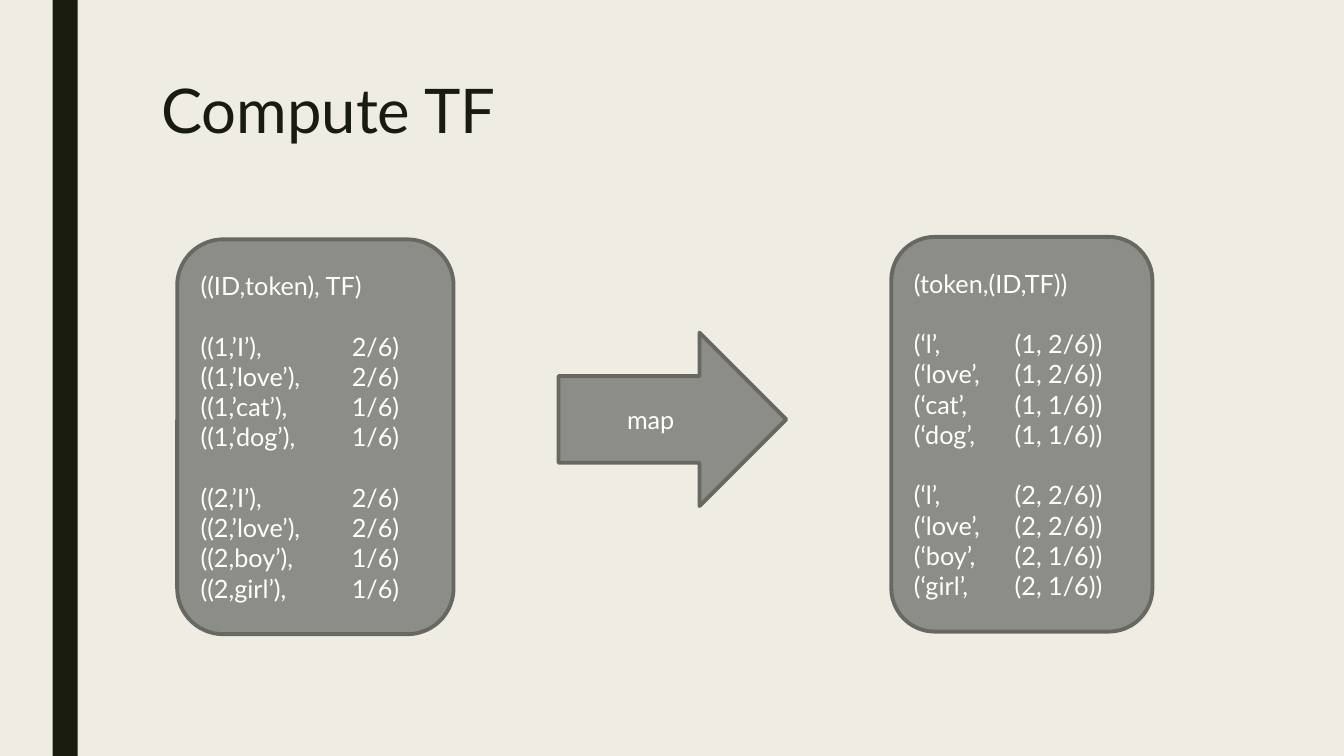
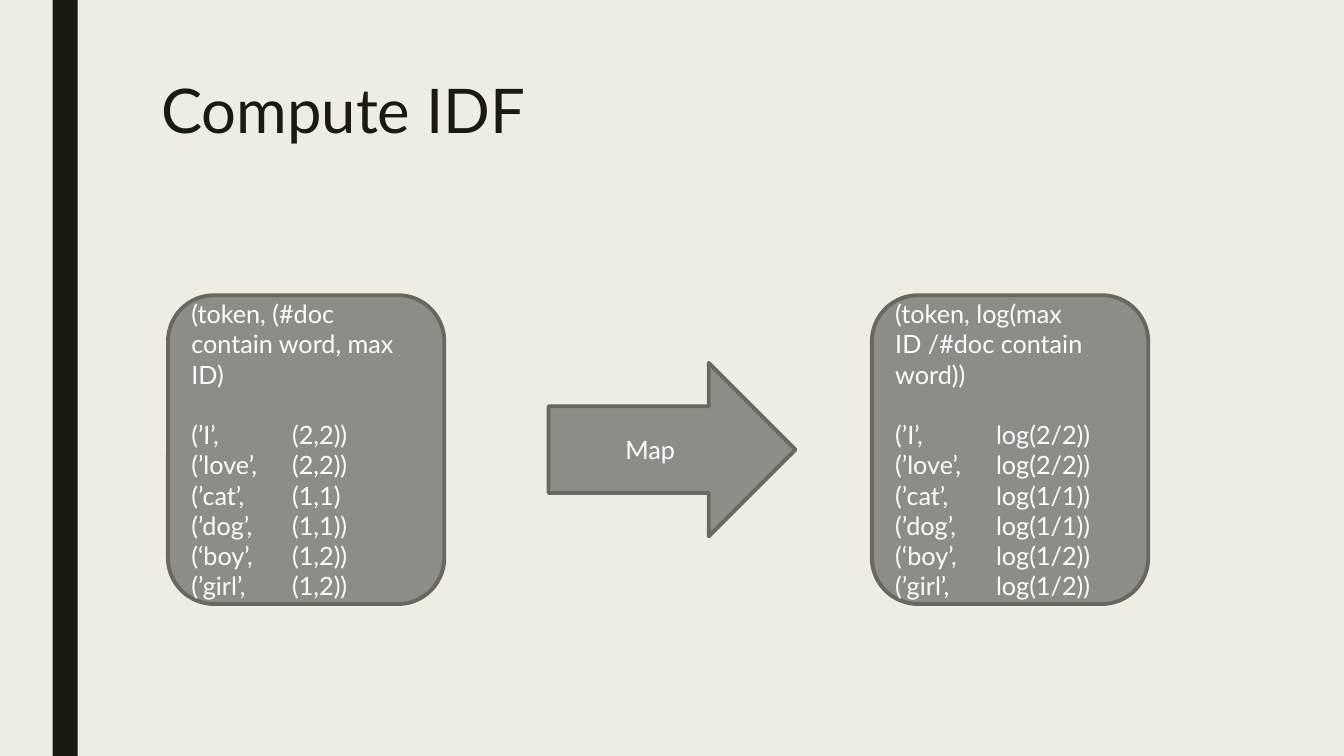
from dataclasses import dataclass

import pptx
import pptx.dml.color
import pptx.enum.shapes
import pptx.enum.text
import pptx.oxml
import pptx.oxml.ns
import pptx.util

Shape = pptx.enum.shapes.MSO_SHAPE
Align = pptx.enum.text.PP_ALIGN
Anchor = pptx.enum.text.MSO_ANCHOR

# Grid: 160 columns by 90 rows of square cells
COLS, ROWS = 160, 90
CELL = pptx.util.Inches(1 / 12)


@dataclass(frozen=True)
class Theme:
    paper: str = "EFEDE3"
    ink: str = "191B0E"
    fill: str = "8C8D86"
    edge: str = "686863"
    light: str = "FFFFFF"
    font: str = "Lato"
    head: float = 44
    body: float = 18
    gap: float = 21.6  # one body line
    rule: float = 2.75
    lead: float = 0.89


@dataclass(frozen=True)
class Box:
    col: float
    row: float
    cols: float
    rows: float

    def place(self) -> list[int]:
        return [round(n * CELL) for n in (self.col, self.row, self.cols, self.rows)]


@dataclass(frozen=True)
class Card:
    box: Box
    head: str
    groups: list[list[tuple[str, str]]]
    tab: float  # columns from the text edge to the values


@dataclass(frozen=True)
class Step:
    title: str
    source: Card
    label: str
    arrow: Box
    result: Card


THEME = Theme()
BAR = Box(6.25, 0, 3, ROWS)
TITLE = Box(18, 9, 126, 19.5)


def color(code: str):
    return pptx.dml.color.RGBColor.from_string(code)


def write(para, text: str, size: float, tint: str) -> None:
    run = para.add_run()
    run.text = text
    run.font.name = THEME.font
    run.font.size = pptx.util.Pt(size)
    run.font.color.rgb = color(tint)


def draw(slide, kind, box: Box, fill: str, edge: str | None = None):
    shape = slide.shapes.add_shape(kind, *box.place())
    shape.shadow.inherit = False
    shape.fill.solid()
    shape.fill.fore_color.rgb = color(fill)
    if edge:
        shape.line.color.rgb = color(edge)
        shape.line.width = pptx.util.Pt(THEME.rule)
    else:
        shape.line.fill.background()
    frame = shape.text_frame
    frame.word_wrap = True
    frame.vertical_anchor = Anchor.MIDDLE
    return frame


def set_tab(para, cols: float) -> None:
    props = para._p.get_or_add_pPr()
    tabs = pptx.oxml.parse_xml(
        f'<a:tabLst {pptx.oxml.ns.nsdecls("a")}>'
        f'<a:tab pos="{round(cols * CELL)}" algn="l"/></a:tabLst>'
    )
    props.append(tabs)


def add_title(slide, text: str) -> None:
    frame = slide.shapes.add_textbox(*TITLE.place()).text_frame
    frame.word_wrap = True
    para = frame.paragraphs[0]
    para.line_spacing = THEME.lead
    write(para, text, THEME.head, THEME.ink)


def add_card(slide, card: Card) -> None:
    frame = draw(slide, Shape.ROUNDED_RECTANGLE, card.box, THEME.fill, THEME.edge)
    para = frame.paragraphs[0]
    para.alignment = Align.LEFT
    write(para, card.head, THEME.body, THEME.light)
    for group in card.groups:
        for place, (key, value) in enumerate(group):
            para = frame.add_paragraph()
            para.alignment = Align.LEFT
            if place == 0:
                para.space_before = pptx.util.Pt(THEME.gap)
            set_tab(para, card.tab)
            write(para, f"{key}\t{value}", THEME.body, THEME.light)


def add_arrow(slide, box: Box, label: str) -> None:
    frame = draw(slide, Shape.RIGHT_ARROW, box, THEME.fill, THEME.edge)
    para = frame.paragraphs[0]
    para.alignment = Align.CENTER
    write(para, label, THEME.body, THEME.light)


def add_step(deck, step: Step) -> None:
    slide = deck.slides.add_slide(deck.slide_layouts[6])
    draw(slide, Shape.RECTANGLE, BAR, THEME.ink)
    add_title(slide, step.title)
    add_card(slide, step.source)
    add_arrow(slide, step.arrow, step.label)
    add_card(slide, step.result)


# Slide content
STEPS = [
    Step(
        "Compute TF",
        Card(
            Box(21.1, 28.5, 32.9, 47),
            "((ID,token), TF)",
            [
                [("((1,’I’),", "2/6)"), ("((1,’love’),", "2/6)"),
                 ("((1,’cat’),", "1/6)"), ("((1,’dog’),", "1/6)")],
                [("((2,’I’),", "2/6)"), ("((2,’love’),", "2/6)"),
                 ("((2,boy’),", "1/6)"), ("((2,girl’),", "1/6)")],
            ],
            18,
        ),
        "map",
        Box(66.5, 39.6, 27.1, 20.65),
        Card(
            Box(106.1, 28.2, 31.1, 47),
            "(token,(ID,TF))",
            [
                [("(‘l’,", "(1, 2/6))"), ("(‘love’,", "(1, 2/6))"),
                 ("(‘cat’,", "(1, 1/6))"), ("(‘dog’,", "(1, 1/6))")],
                [("(‘l’,", "(2, 2/6))"), ("(‘love’,", "(2, 2/6))"),
                 ("(‘boy’,", "(2, 1/6))"), ("(‘girl’,", "(2, 1/6))")],
            ],
            12,
        ),
    ),
    Step(
        "Compute IDF",
        Card(
            Box(20, 35.15, 32.9, 36.75),
            "(token, (#doc contain word, max ID)",
            [
                [("(’I’,", "(2,2))"), ("(’love’,", "(2,2))"),
                 ("(’cat’,", "(1,1)"), ("(’dog’,", "(1,1))"),
                 ("(‘boy’,", "(1,2))"), ("(’girl’,", "(1,2))")],
            ],
            12,
        ),
        "Map",
        Box(65.3, 43.2, 29.4, 20.65),
        Card(
            Box(103.8, 35.15, 32.9, 36.75),
            "(token, log(max ID /#doc contain word))",
            [
                [("(’I’,", "log(2/2))"), ("(’love’,", "log(2/2))"),
                 ("(’cat’,", "log(1/1))"), ("(’dog’,", "log(1/1))"),
                 ("(‘boy’,", "log(1/2))"), ("(’girl’,", "log(1/2))")],
            ],
            12,
        ),
    ),
]


def main() -> None:
    deck = pptx.Presentation()
    deck.slide_width = COLS * CELL
    deck.slide_height = ROWS * CELL
    # Shared background
    back = deck.slide_master.background.fill
    back.solid()
    back.fore_color.rgb = color(THEME.paper)
    for step in STEPS:
        add_step(deck, step)
    deck.save("out.pptx")


if __name__ == "__main__":
    main()
